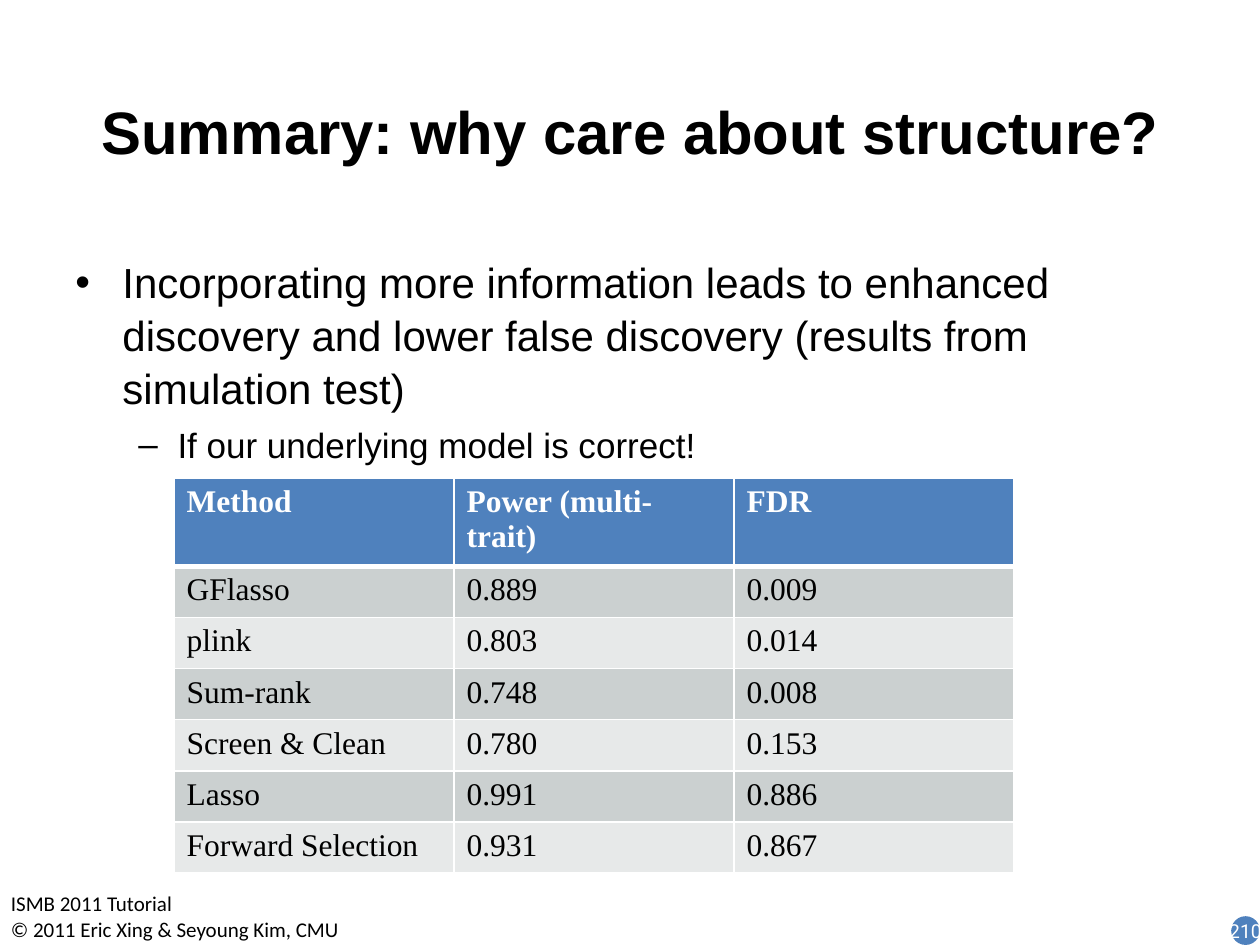
from dataclasses import dataclass

from lxml import etree
from pptx import Presentation
from pptx import util as u
from pptx.dml import color
from pptx.enum import shapes, text
from pptx.oxml import ns

BLACK, WHITE, BLUE = "000000", "FFFFFF", "4F81BD"
BANDS = ("CBD0D0", "E7E9E9")


@dataclass
class Box:
    left: float
    top: float
    width: float
    height: float

    def place(self) -> tuple:
        return tuple(u.Cm(v) for v in (self.left, self.top, self.width, self.height))


@dataclass
class Bullet:
    mark: str
    words: str
    size: float
    left: float
    hang: float
    level: int = 0
    before: float = 0


def rgb(code: str) -> color.RGBColor:
    return color.RGBColor.from_string(code)


def write(para, words: str, *, font="Arial", size=18.0, tint=BLACK,
          bold=False, align=text.PP_ALIGN.LEFT) -> None:
    para.alignment = align
    run = para.add_run()
    run.text = words
    face = run.font
    face.name, face.size, face.bold = font, u.Pt(size), bold
    face.color.rgb = rgb(tint)


def add_box(slide, box: Box, wrap=True, inset=0.13):
    frame = slide.shapes.add_textbox(*box.place()).text_frame
    frame.word_wrap = wrap
    frame.margin_top = u.Cm(inset)
    return frame


def add_mark(para, item: Bullet) -> None:
    props = para._p.get_or_add_pPr()
    props.set("marL", str(u.Cm(item.left)))
    props.set("indent", str(-u.Cm(item.hang)))
    font = etree.SubElement(props, ns.qn("a:buFont"))
    font.set("typeface", "Arial")
    etree.SubElement(props, ns.qn("a:buChar")).set("char", item.mark)


def add_edge(cell, side: str, width: float) -> None:
    line = etree.SubElement(cell._tc.get_or_add_tcPr(), ns.qn("a:ln" + side))
    line.set("w", str(u.Pt(width)))
    fill = etree.SubElement(line, ns.qn("a:solidFill"))
    etree.SubElement(fill, ns.qn("a:srgbClr")).set("val", WHITE)


def add_grid(slide, box: Box, rows: list) -> None:
    table = slide.shapes.add_table(len(rows), len(rows[0]), *box.place()).table
    for r, row in enumerate(rows):
        head = r == 0
        for c, words in enumerate(row):
            cell = table.cell(r, c)
            # Thick rule between the header and the first row
            widths = {"L": 1, "R": 1, "T": 3 if r == 1 else 1, "B": 3 if head else 1}
            for side, width in widths.items():
                add_edge(cell, side, width)
            cell.fill.solid()
            cell.fill.fore_color.rgb = rgb(BLUE if head else BANDS[(r - 1) % 2])
            write(cell.text_frame.paragraphs[0], words, font="Times New Roman",
                  tint=WHITE if head else BLACK, bold=head)


def add_badge(slide, box: Box, words: str) -> None:
    dot = slide.shapes.add_shape(shapes.MSO_SHAPE.OVAL, *box.place())
    dot.shadow.inherit = False
    dot.fill.solid()
    dot.fill.fore_color.rgb = rgb(BLUE)
    dot.line.fill.background()
    frame = dot.text_frame
    frame.word_wrap = False
    frame.vertical_anchor = text.MSO_ANCHOR.MIDDLE
    frame.margin_left = frame.margin_right = 0
    frame.margin_top = frame.margin_bottom = 0
    write(frame.paragraphs[0], words, font="Roboto", size=11, tint=WHITE,
          align=text.PP_ALIGN.CENTER)


FOOTER = ["ISMB 2011 Tutorial", "© 2011 Eric Xing & Seyoung Kim, CMU"]
POINTS = [
    Bullet("•", "Incorporating more information leads to enhanced discovery and "
           "lower false discovery (results from simulation test)", 24, 0.95, 0.95),
    Bullet("–", "If our underlying model is correct!", 20, 2.06, 0.79, 1, 5),
]
RESULTS = [
    ("Method", "Power (multi-trait)", "FDR"),
    ("GFlasso", "0.889", "0.009"),
    ("plink", "0.803", "0.014"),
    ("Sum-rank", "0.748", "0.008"),
    ("Screen & Clean", "0.780", "0.153"),
    ("Lasso", "0.991", "0.886"),
    ("Forward Selection", "0.931", "0.867"),
]


def main() -> None:
    deck = Presentation()
    deck.slide_width, deck.slide_height = u.Cm(25.4), u.Cm(19.05)
    slide = deck.slides.add_slide(deck.slide_layouts[6])

    # Footer
    frame = add_box(slide, Box(-0.03, 17.83, 7.21, 1.27), wrap=False)
    for i, words in enumerate(FOOTER):
        para = frame.add_paragraph() if i else frame.paragraphs[0]
        write(para, words, font="Calibri", size=12)

    # Results table and page number
    add_grid(slide, Box(3.51, 9.64, 16.93, 7.21), RESULTS)
    add_badge(slide, Box(24.82, 18.47, 0.58, 0.58), "210")

    # Bullets
    frame = add_box(slide, Box(1.27, 4.45, 22.86, 12.57), inset=0.67)
    for i, item in enumerate(POINTS):
        para = frame.add_paragraph() if i else frame.paragraphs[0]
        add_mark(para, item)
        para.level = item.level
        para.line_spacing = 1.05
        para.space_before = u.Pt(item.before)
        write(para, item.words, size=item.size)

    # Title
    frame = add_box(slide, Box(1.27, 0.76, 22.86, 3.18), inset=0.67)
    frame.vertical_anchor = text.MSO_ANCHOR.MIDDLE
    write(frame.paragraphs[0], "Summary: why care about structure?", size=34.2,
          bold=True, align=text.PP_ALIGN.CENTER)

    deck.save("out.pptx")


if __name__ == "__main__":
    main()
